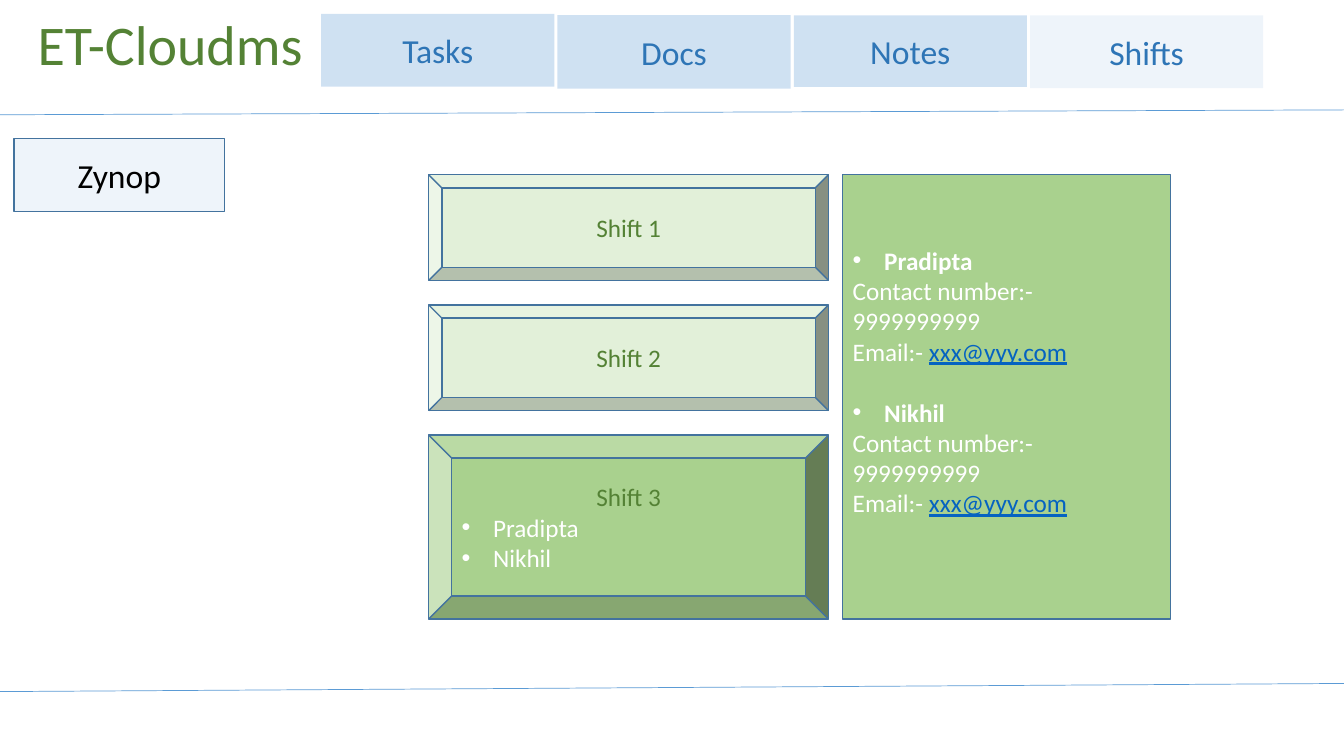
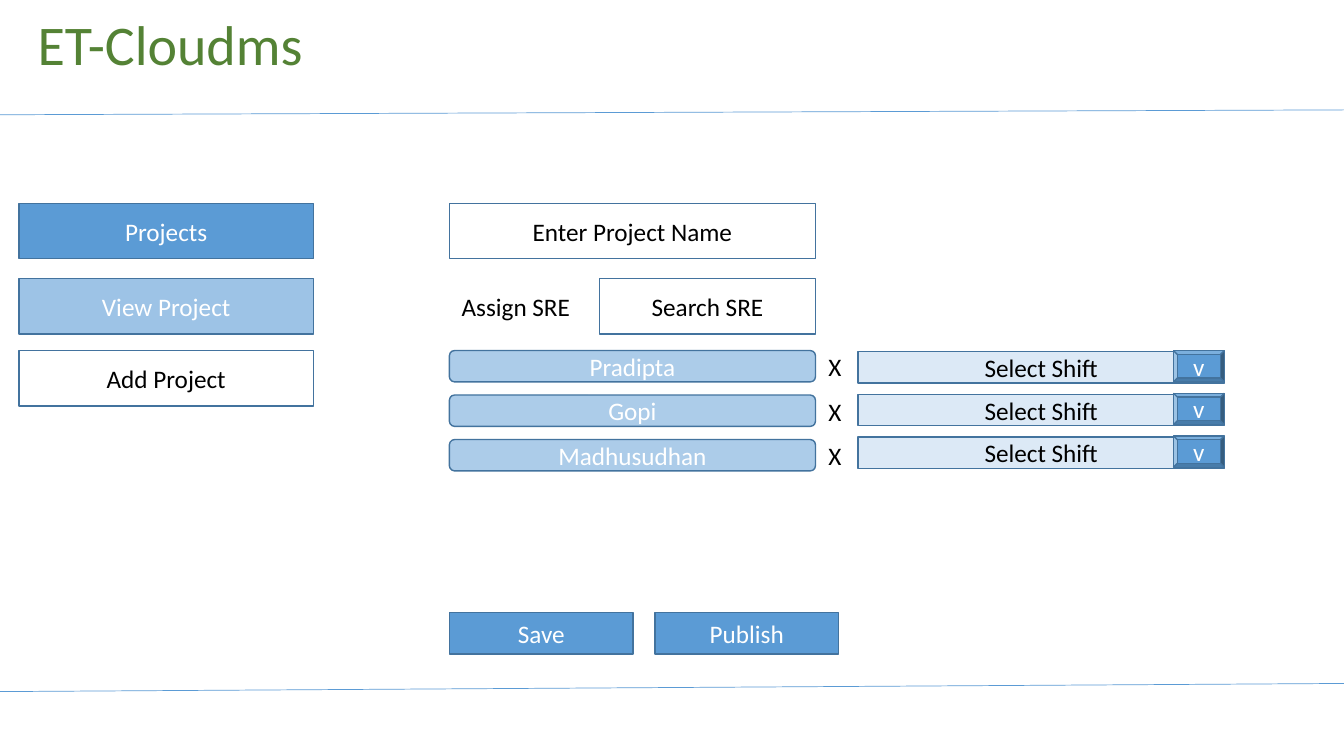
"""Build two wireframe slides: the shift roster and the project form."""
from lxml.etree import SubElement
from pptx import Presentation
from pptx.dml.color import RGBColor
from pptx.enum.shapes import MSO_AUTO_SHAPE_TYPE as Kind, MSO_CONNECTOR as Link
from pptx.enum.text import MSO_ANCHOR as Anchor, PP_ALIGN as Align
from pptx.oxml.ns import qn
from pptx.util import Pt

BLUE = RGBColor(0x5B, 0x9B, 0xD5)
MID_BLUE = RGBColor(0x9D, 0xC3, 0xE6)
DEEP_BLUE = RGBColor(0x2E, 0x75, 0xB6)
OUTLINE = RGBColor(0x43, 0x73, 0x9E)
LINK_BLUE = RGBColor(0x05, 0x63, 0xC1)
DARK_GREEN = RGBColor(0x54, 0x82, 0x35)
GREEN = RGBColor(0xA9, 0xD1, 0x8E)
PALE_GREEN = RGBColor(0xE2, 0xF0, 0xD9)
WHITE = RGBColor(0xFF, 0xFF, 0xFF)
BLACK = RGBColor(0, 0, 0)

WIDTH, HEIGHT = 960, 540
FONT = "Calibri"
BODY, HEADING, TITLE = 18, 24, 40
BULLET_INDENT = 22.5
BODY_LINE = 22
MENU_LEFT, MENU_WIDTH = 13.5, 210.5
FORM_LEFT, FORM_WIDTH = 321, 261.5
ROW_TOPS = (145.2, 199, 250.4)
FIELD_HEIGHT, SLIM_HEIGHT = 39.5, 22.4
SHIFT_LEFT, SHIFT_WIDTH = 306.2, 285.6
SHIFT_TOP, SHIFT_BOTTOM = 124.8, 442.2


def set_format(target, **values):
    """Set each given attribute on the target."""
    for name, value in values.items():
        setattr(target, name, value)


def add_run(paragraph, text, color, size=BODY, **style):
    """Append one styled run to a paragraph."""
    font = paragraph.add_run()
    font.text = text
    font = font.font
    set_format(font, name=FONT, size=Pt(size), **style)
    font.color.rgb = color


def add_line(frame, text, color, size=BODY, align=Align.CENTER, **style):
    """Start a paragraph in the frame, reusing the first one while empty."""
    first = frame.paragraphs[0]
    paragraph = frame.add_paragraph() if first.runs else first
    paragraph.alignment = align
    add_run(paragraph, text, color, size, **style)
    return paragraph


def add_bullet(frame, text, **style):
    """Add a white bulleted line with a hanging indent."""
    paragraph = add_line(frame, text, WHITE, align=Align.LEFT, **style)
    properties = paragraph._p.get_or_add_pPr()
    properties.set("marL", str(Pt(BULLET_INDENT)))
    properties.set("indent", str(-Pt(BULLET_INDENT)))
    SubElement(properties, qn("a:buFont"), typeface="Arial")
    SubElement(properties, qn("a:buChar"), char="•")
    return paragraph


def add_box(slide, area, text="", color=WHITE, fill=None, opacity=100,
            kind=Kind.RECTANGLE, size=BODY, outline=OUTLINE):
    """Draw a preset shape with a centred label and return its text frame."""
    box = slide.shapes.add_shape(kind, *map(Pt, area))
    box.shadow.inherit = False
    if fill is None:
        box.fill.background()
    else:
        box.fill.solid()
        box.fill.fore_color.rgb = fill
        if opacity < 100:
            tint = box.fill._xPr.find(qn("a:solidFill"))[0]
            SubElement(tint, qn("a:alpha"), val=str(opacity * 1000))
    if outline is None:
        box.line.fill.background()
    else:
        box.line.color.rgb = outline
        box.line.width = Pt(1)
    frame = box.text_frame
    set_format(frame, word_wrap=True, vertical_anchor=Anchor.MIDDLE)
    if text:
        add_line(frame, text, color, size)
    return frame


def add_caption(slide, area, text, align, anchor):
    """Place plain black text without a box."""
    frame = slide.shapes.add_textbox(*map(Pt, area)).text_frame
    set_format(frame, word_wrap=True, vertical_anchor=anchor)
    add_line(frame, text, BLACK, align=align)


def add_rule(slide, start, end):
    """Draw a thin blue line across the whole slide."""
    rule = slide.shapes.add_connector(
        Link.STRAIGHT, Pt(0), Pt(start), Pt(WIDTH), Pt(end))
    rule.line.color.rgb = BLUE
    rule.line.width = Pt(0.5)
    SubElement(rule._element.spPr, qn("a:effectLst"))


def add_page(deck):
    """Add a slide with the application title and both rules."""
    slide = deck.slides.add_slide(deck.slide_layouts[6])
    add_box(slide, (0, 0, 243, 62), "ET-Cloudms", DARK_GREEN,
            kind=Kind.ROUNDED_RECTANGLE, size=TITLE, outline=None)
    add_rule(slide, 82, 78.5)
    add_rule(slide, 494, 488.2)
    return slide


def add_tabs(slide):
    """Draw the navigation tabs, the last one being current."""
    tabs = (("Tasks", 10, 52, 29), ("Docs", 10.8, 52.5, 29),
            ("Notes", 11, 51, 29), ("Shifts", 11, 52, 10))
    for column, (name, top, height, opacity) in enumerate(tabs):
        add_box(slide, (229.5 + 168.75 * column, top, 166.5, height), name,
                DEEP_BLUE, BLUE, opacity, size=HEADING, outline=None)


def add_contacts(slide):
    """List the people on the selected shift with their contact details."""
    frame = add_box(slide, (602, SHIFT_TOP, 234, SHIFT_BOTTOM - SHIFT_TOP),
                    fill=GREEN)
    frame.margin_bottom = Pt(3.6 + BODY_LINE)
    for position, person in enumerate(("Pradipta", "Nikhil")):
        heading = add_bullet(frame, person, bold=True)
        heading.space_before = Pt(BODY_LINE * position)
        add_line(frame, "Contact number:- 9999999999", WHITE, align=Align.LEFT)
        email = add_line(frame, "Email:- ", WHITE, align=Align.LEFT)
        add_run(email, "xxx@yyy.com", LINK_BLUE, underline=True)


def build_shifts(deck):
    """Build the shift roster."""
    slide = add_page(deck)
    add_tabs(slide)
    add_box(slide, (10, 99, 150.5, 52), "Zynop", BLACK, BLUE, 10, size=HEADING)
    shift_heights = (75.5, 75.5, 131.4)
    gap = (SHIFT_BOTTOM - SHIFT_TOP - sum(shift_heights)) / 2
    top = SHIFT_TOP
    for number, height in enumerate(shift_heights, 1):
        selected = number == len(shift_heights)
        shift = add_box(slide, (SHIFT_LEFT, top, SHIFT_WIDTH, height),
                        f"Shift {number}", DARK_GREEN,
                        GREEN if selected else PALE_GREEN, kind=Kind.BEVEL)
        top += height + gap
    for person in ("Pradipta", "Nikhil"):
        add_bullet(shift, person)
    add_contacts(slide)


def add_assignment(slide, row, person):
    """Draw one assigned person with a remove mark and a shift selector."""
    pill_top = ROW_TOPS[2] + 31.8 * row
    select_top = ROW_TOPS[2] + 30.5 * row
    add_box(slide, (FORM_LEFT, pill_top, FORM_WIDTH, SLIM_HEIGHT), person,
            WHITE, BLUE, 50, Kind.ROUNDED_RECTANGLE)
    add_caption(slide, (584.6, pill_top - 2.7, 28, 29), "X",
                Align.LEFT, Anchor.TOP)
    add_box(slide, (613, select_top + 0.8, FORM_WIDTH, SLIM_HEIGHT),
            "Select Shift", BLACK, BLUE, 21)
    add_box(slide, (838.2, select_top, 36.3, SLIM_HEIGHT), "v",
            fill=BLUE, kind=Kind.BEVEL)


def build_project(deck):
    """Build the form for adding a project."""
    slide = add_page(deck)
    menu = (("Projects", WHITE, BLUE), ("View Project", WHITE, MID_BLUE),
            ("Add Project", BLACK, None))
    for top, (name, color, fill) in zip(ROW_TOPS, menu):
        add_box(slide, (MENU_LEFT, top, MENU_WIDTH, FIELD_HEIGHT),
                name, color, fill)
    add_box(slide, (FORM_LEFT, ROW_TOPS[0], FORM_WIDTH, FIELD_HEIGHT),
            "Enter Project Name", BLACK)
    add_caption(slide, (FORM_LEFT, ROW_TOPS[1], 95, FIELD_HEIGHT),
                "Assign SRE", Align.CENTER, Anchor.MIDDLE)
    add_box(slide, (428.3, ROW_TOPS[1], 154.2, FIELD_HEIGHT),
            "Search SRE", BLACK)
    for row, person in enumerate(("Pradipta", "Gopi", "Madhusudhan")):
        add_assignment(slide, row, person)
    for column, action in enumerate(("Save", "Publish")):
        add_box(slide, (FORM_LEFT + 146.8 * column, 437.6, 131.3, 29.5),
                action, fill=BLUE)


def main():
    """Build and save the deck."""
    deck = Presentation()
    set_format(deck, slide_width=Pt(WIDTH), slide_height=Pt(HEIGHT))
    build_shifts(deck)
    build_project(deck)
    deck.save("out.pptx")


if __name__ == "__main__":
    main()
